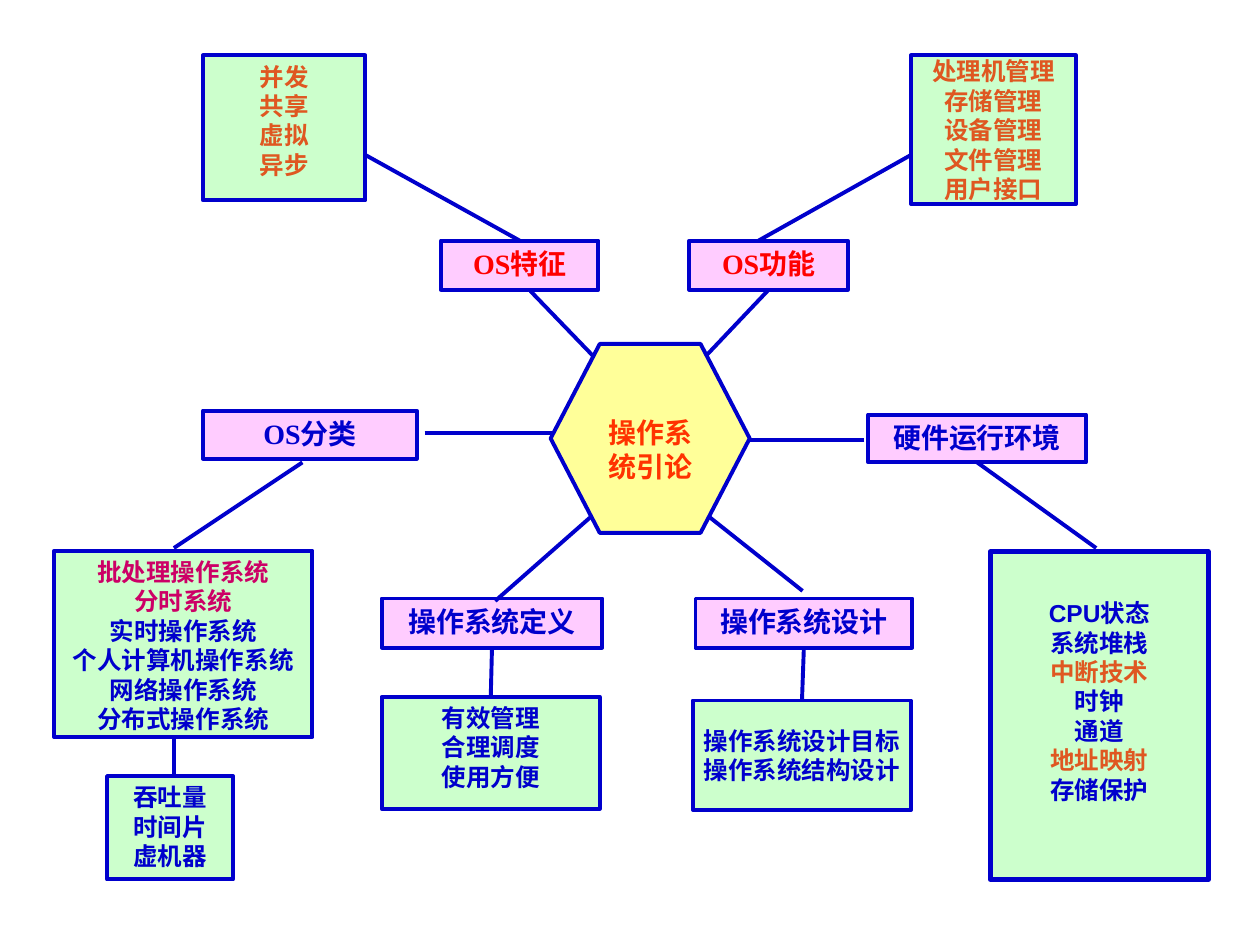
import pptx
import pptx.util
import pptx.dml.color
import pptx.enum.shapes
import pptx.enum.text
import pptx.oxml.ns
import lxml.etree

Inches = pptx.util.Inches
SHAPE = pptx.enum.shapes.MSO_SHAPE
ANCHOR = pptx.enum.text.MSO_ANCHOR

BLUE, ORANGE, RED, MAGENTA = "0000CC", "DF5721", "FF0000", "CC0066"
PINK, GREEN, YELLOW = "FFCCFF", "CCFFCC", "FFFF99"
SERIF, SANS = "Times New Roman", "Arial"
TOP, BOTTOM = 0, 2  # connection sites


def rgb(color):
    return pptx.dml.color.RGBColor.from_string(color)


def write(sp, lines, size=14, font=SERIF, color=BLUE, accents=None,
          middle=False, top=0.05, bottom=0.05):
    """Centred bold lines; accents maps a line to its own colour."""
    tf = sp.text_frame
    tf.word_wrap = not middle
    tf.vertical_anchor = ANCHOR.MIDDLE if middle else ANCHOR.TOP
    tf.margin_left = tf.margin_right = Inches(0.1)
    tf.margin_top, tf.margin_bottom = Inches(top), Inches(bottom)
    for i, line in enumerate(lines):
        p = tf.paragraphs[0] if i == 0 else tf.add_paragraph()
        p.alignment = pptx.enum.text.PP_ALIGN.CENTER
        r = p.add_run()
        r.text = line
        r.font.size = pptx.util.Pt(size)
        r.font.name = font
        r.font.bold = True
        r.font.color.rgb = rgb((accents or {}).get(line, color))


def node(s, box, lines, fill, kind=SHAPE.RECTANGLE, line_width=2.25, **text):
    sp = s.shapes.add_shape(kind, *map(Inches, box))
    sp.shadow.inherit = False
    sp.fill.solid()
    sp.fill.fore_color.rgb = rgb(fill)
    sp.line.color.rgb = rgb(BLUE)
    sp.line.width = pptx.util.Pt(line_width)
    write(sp, lines, **text)
    return sp


def link(s, x, y, ends, begin=None, end=None):
    """Line whose ends (x1, y1, x2, y2) are measured from x, y."""
    x1, y1, x2, y2 = ends
    c = s.shapes.add_connector(
        pptx.enum.shapes.MSO_CONNECTOR.STRAIGHT,
        Inches(x + x1), Inches(y + y1), Inches(x + x2), Inches(y + y2))
    c.line.color.rgb = rgb(BLUE)
    c.line.width = pptx.util.Pt(2.25)
    lxml.etree.SubElement(c._element.spPr, pptx.oxml.ns.qn("a:effectLst"))
    if begin:
        c.begin_connect(*begin)
    if end:
        c.end_connect(*end)


def branch(s, box, title, detail, lines, spoke, joint, title_color=BLUE,
           spoke_site=None, joint_sites=(None, None), **style):
    """Topic in box; detail box, spoke to the hub and joint are relative to it."""
    x, y = box[:2]
    dx, dy, w, h = detail
    topic = node(s, box, [title], PINK, size=16, color=title_color)
    detail_sp = node(s, (x + dx, y + dy, w, h), lines, GREEN, **style)
    link(s, x, y, spoke,
         begin=None if spoke_site is None else (topic, spoke_site))
    begin, end = joint_sites
    link(s, x, y, joint,
         begin=None if begin is None else (topic, begin),
         end=None if end is None else (detail_sp, end))


def top_branches(s, y):
    branch(s, (3.5, y, 1.25, 0.39), "OS特征", (-1.89, -1.47, 1.29, 1.15),
           ["并发", "共享", "虚拟", "异步"],
           spoke=(0.71, 0.4, 1.26, 0.97), joint=(0.63, 0, -0.6, -0.68),
           title_color=RED, color=ORANGE, joint_sites=(TOP, None))
    branch(s, (5.47, y, 1.26, 0.39), "OS功能", (1.76, -1.47, 1.31, 1.18),
           ["处理机管理", "存储管理", "设备管理", "文件管理", "用户接口"],
           spoke=(0.63, 0.4, 0.08, 0.97), joint=(0.55, 0, 1.76, -0.68),
           title_color=RED, color=ORANGE, spoke_site=BOTTOM,
           font=SANS, middle=True)


def types_branch(s, box):
    x, y = box[:2]
    branch(s, box, "OS分类", (-1.18, 1.11, 2.05, 1.48),
           ["批处理操作系统", "分时系统", "实时操作系统",
            "个人计算机操作系统", "网络操作系统", "分布式操作系统"],
           spoke=(1.76, 0.18, 2.79, 0.18), joint=(0.79, 0.41, -0.23, 1.09),
           accents={"批处理操作系统": MAGENTA, "分时系统": MAGENTA})
    # Second level below the list of types
    node(s, (x - 0.76, y + 2.9, 1, 0.82), ["吞吐量", "时间片", "虚机器"], GREEN)
    link(s, x, y, (-0.23, 2.59, -0.23, 2.9))


def hardware_branch(s, box):
    branch(s, box, "硬件运行环境", (0.97, 1.09, 1.73, 2.6),
           ["CPU状态", "系统堆栈", "中断技术", "时钟", "通道", "地址映射", "存储保护"],
           spoke=(-0.03, 0.2, -0.94, 0.2), joint=(0.87, 0.38, 1.81, 1.06),
           joint_sites=(BOTTOM, None), line_width=3, font=SANS, middle=True,
           accents={"中断技术": ORANGE, "地址映射": ORANGE}, bottom=0.28)


def bottom_branches(s, y):
    branch(s, (3.03, y, 1.75, 0.39), "操作系统定义", (0, 0.78, 1.73, 0.89),
           ["有效管理", "合理调度", "使用方便"],
           spoke=(0.9, 0.02, 1.73, -0.71), joint=(0.87, 0.39, 0.87, 0.78),
           joint_sites=(BOTTOM, TOP))
    branch(s, (5.52, y, 1.72, 0.39), "操作系统设计", (-0.02, 0.81, 1.73, 0.87),
           ["操作系统设计目标", "操作系统结构设计"],
           spoke=(0.85, -0.06, 0.03, -0.71), joint=(0.85, 0.39, 0.85, 0.81),
           joint_sites=(BOTTOM, TOP), font=SANS, middle=True)


def hub(s, box):
    sp = node(s, box, ["操作系统引论"], YELLOW, kind=SHAPE.HEXAGON,
              size=16, font=SANS, color="FF3300", top=0.32)
    sp.adjustments[0] = 0.26


def main():
    prs = pptx.Presentation()
    prs.slide_width, prs.slide_height = Inches(10), Inches(7.5)
    s = prs.slides.add_slide(prs.slide_layouts[6])
    top_branches(s, 1.91)
    types_branch(s, (1.61, 3.26, 1.7, 0.38))
    hardware_branch(s, (6.89, 3.29, 1.73, 0.38))
    bottom_branches(s, 4.75)
    hub(s, (4.37, 2.73, 1.58, 1.5))
    prs.save("out.pptx")


if __name__ == "__main__":
    main()
